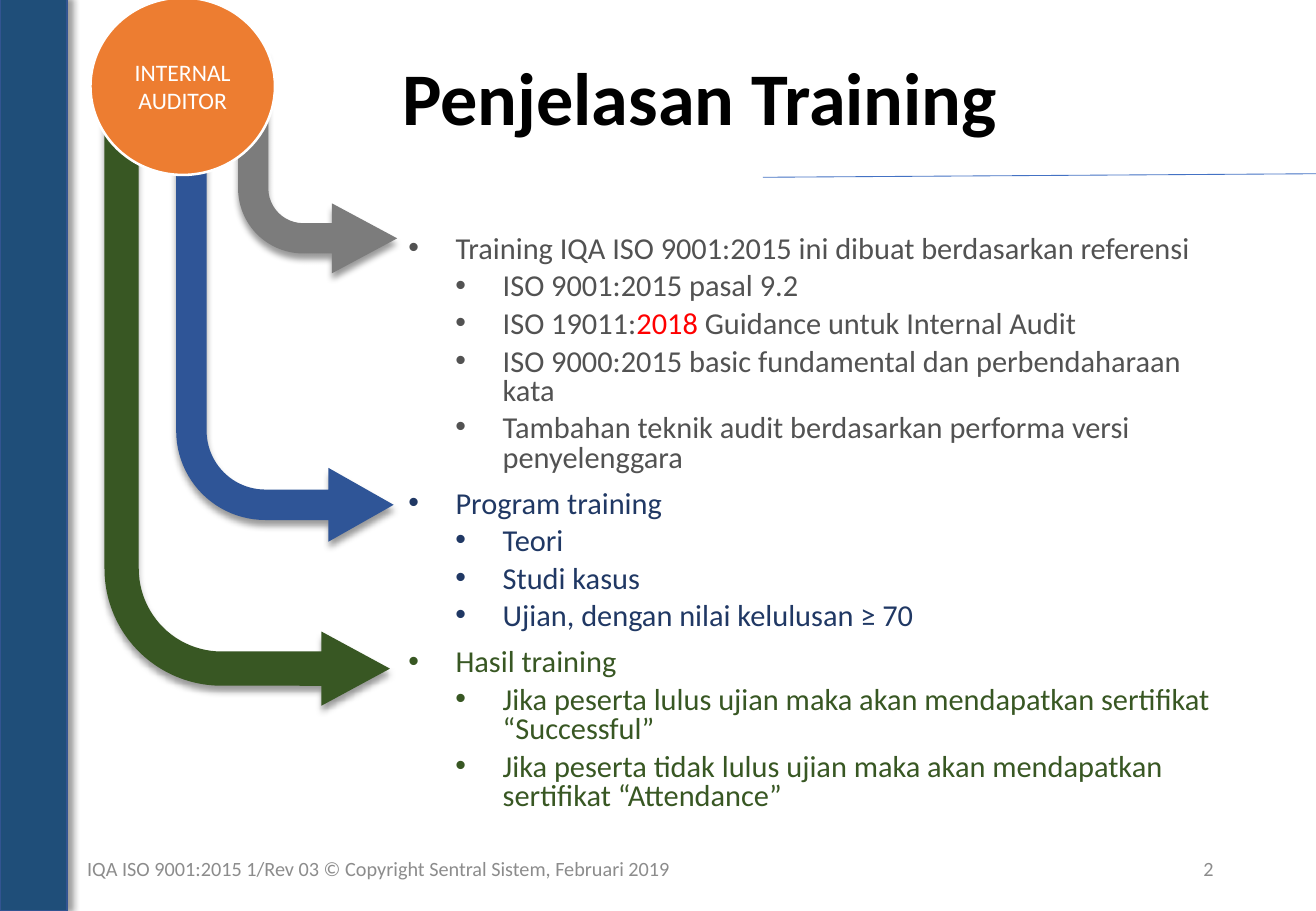
from lxml import etree
from pptx import Presentation
from pptx.dml.color import RGBColor
from pptx.enum import shapes, text
from pptx.oxml import ns
from pptx.util import Pt

BLACK = RGBColor(0x00, 0x00, 0x00)
WHITE = RGBColor(0xFF, 0xFF, 0xFF)
RED = RGBColor(0xFF, 0x00, 0x00)
GRAY_TEXT = RGBColor(0x52, 0x52, 0x52)
NAVY_TEXT = RGBColor(0x20, 0x38, 0x64)
GREEN = RGBColor(0x38, 0x57, 0x23)
GRAY_ARROW = RGBColor(0x7C, 0x7C, 0x7C)
BLUE_ARROW = RGBColor(0x2F, 0x55, 0x97)
ORANGE = RGBColor(0xED, 0x7D, 0x31)
BAR_FILL = RGBColor(0x1F, 0x4E, 0x79)
BAR_LINE = RGBColor(0x32, 0x54, 0x91)
RULE = RGBColor(0x44, 0x72, 0xC4)
FOOTER = RGBColor(0x8C, 0x8C, 0x8C)

TITLE = "Penjelasan Training"
SECTIONS = [
    (GRAY_TEXT, "Training IQA ISO 9001:2015 ini dibuat berdasarkan referensi", [
        "ISO 9001:2015 pasal 9.2",
        [("ISO 19011:", GRAY_TEXT), ("2018 ", RED), ("Guidance untuk Internal Audit", GRAY_TEXT)],
        "ISO 9000:2015 basic fundamental dan perbendaharaan kata",
        "Tambahan teknik audit berdasarkan performa versi penyelenggara",
    ]),
    (NAVY_TEXT, "Program training", [
        "Teori",
        "Studi kasus",
        "Ujian, dengan nilai kelulusan ≥ 70",
    ]),
    (GREEN, "Hasil training", [
        "Jika peserta lulus ujian maka akan mendapatkan sertifikat “Successful”",
        "Jika peserta tidak lulus ujian maka akan mendapatkan sertifikat “Attendance”",
    ]),
]
ARROWS = [
    (GRAY_ARROW, (141.1, 31.7, 94.3, 130.3), (0.19, 0.22, 0.41, 0.41)),
    (BLUE_ARROW, (104.4, 0, 128.9, 321.1), (0.14, 0.17, 0.3, 0.41)),
    (GREEN, (61.9, 31.7, 169.2, 386.6), (0.12, 0.13, 0.24, 0.41)),
]
FOOTERS = [
    ("2", (550.8, 500.4, 175.7, 28.8), text.PP_ALIGN.RIGHT),
    ("IQA ISO 9001:2015 1/Rev 03 © Copyright Sentral Sistem, Februari 2019",
     (44.6, 500.4, 476.6, 28.8), text.PP_ALIGN.LEFT),
]
LEVEL_FORMATS = [
    {"indent": 85, "before": 10},
    {"indent": 113, "before": 5},
]
HANGING = 28


def apply(target, values):
    for name, value in values.items():
        setattr(target, name, value)


def place(shape, box):
    apply(shape, dict(zip(("left", "top", "width", "height"), map(Pt, box))))


def add_run(paragraph, words, size, color, bold=False):
    run = paragraph.add_run()
    run.text = words
    apply(run.font, {"name": "Calibri", "size": Pt(size), "bold": bold})
    run.font.color.rgb = color


def frame_format(shape, anchor):
    apply(shape.text_frame, {"word_wrap": True, "vertical_anchor": anchor,
                             "auto_size": text.MSO_AUTO_SIZE.NONE})


def add_filled(slide, kind, box, fill, line=None, line_width=0):
    shape = slide.shapes.add_shape(kind, *map(Pt, box))
    shape.fill.solid()
    shape.fill.fore_color.rgb = fill
    if line is None:
        shape.line.fill.background()
    else:
        shape.line.color.rgb = line
        shape.line.width = Pt(line_width)
    shape.shadow.inherit = False
    return shape


def add_shadow(shape, degrees):
    effects = shape._element.spPr.find(ns.qn("a:effectLst"))
    shadow = etree.SubElement(effects, ns.qn("a:outerShdw"), blurRad=str(Pt(4)),
                              dist=str(Pt(3)), dir=str(degrees * 60000), rotWithShape="0")
    color = etree.SubElement(shadow, ns.qn("a:srgbClr"), val=str(BLACK))
    etree.SubElement(color, ns.qn("a:alpha"), val="40000")


def add_item(paragraph, content, level, color, first):
    properties = paragraph._p.get_or_add_pPr()
    etree.SubElement(properties, ns.qn("a:buFont"), typeface="Arial")
    etree.SubElement(properties, ns.qn("a:buChar"), char="•")
    layout = LEVEL_FORMATS[level]
    properties.set("marL", str(Pt(layout["indent"])))
    properties.set("indent", str(Pt(-HANGING)))
    apply(paragraph, {"level": level, "line_spacing": 0.8,
                      "space_before": Pt(0 if first else layout["before"]),
                      "alignment": text.PP_ALIGN.LEFT})
    runs = [(content, color)] if isinstance(content, str) else content
    for words, run_color in runs:
        add_run(paragraph, words, 18, run_color)


def fill_title(title):
    place(title, (231.1, 15.1, 469.4, 90))
    frame_format(title, text.MSO_ANCHOR.MIDDLE)
    paragraph = title.text_frame.paragraphs[0]
    apply(paragraph, {"alignment": text.PP_ALIGN.LEFT, "line_spacing": 0.9})
    add_run(paragraph, TITLE, 44, BLACK, True)


def fill_body(body):
    place(body, (177.8, 136.3, 548.6, 360.5))
    frame_format(body, text.MSO_ANCHOR.TOP)
    items = [(content, level, color)
             for color, heading, details in SECTIONS
             for content, level in [(heading, 0)] + [(detail, 1) for detail in details]]
    for number, item in enumerate(items):
        frame = body.text_frame
        paragraph = frame.add_paragraph() if number else frame.paragraphs[0]
        add_item(paragraph, *item, first=number == 0)


def main():
    presentation = Presentation()
    apply(presentation, {"slide_width": Pt(780), "slide_height": Pt(540)})
    slide = presentation.slides.add_slide(presentation.slide_layouts[1])
    fill_title(slide.shapes.title)
    fill_body(slide.placeholders[1])

    for color, box, adjustments in ARROWS:
        arrow = add_filled(slide, shapes.MSO_SHAPE.BENT_ARROW, box, color)
        for number, value in enumerate(adjustments):
            arrow.adjustments[number] = value
        arrow.rotation = 180
        arrow._element.spPr.xfrm.set("flipH", "1")
        add_shadow(arrow, 90)

    badge = add_filled(slide, shapes.MSO_SHAPE.OVAL, (53.6, -1.4, 109.4, 105.1),
                       ORANGE, WHITE, 1.5)
    frame_format(badge, text.MSO_ANCHOR.MIDDLE)
    label = badge.text_frame.paragraphs[0]
    label.alignment = text.PP_ALIGN.CENTER
    add_run(label, "INTERNAL AUDITOR", 14, WHITE)

    bar = add_filled(slide, shapes.MSO_SHAPE.RECTANGLE, (0, -1.4, 39.6, 541.4),
                     BAR_FILL, BAR_LINE, 1)
    add_shadow(bar, 0)

    rule = slide.shapes.add_connector(shapes.MSO_CONNECTOR.STRAIGHT,
                                      *map(Pt, (452.2, 105.1, 780, 103)))
    rule.line.color.rgb = RULE
    rule.line.width = Pt(0.5)
    etree.SubElement(rule._element.spPr, ns.qn("a:effectLst"))

    for words, box, alignment in FOOTERS:
        footer = slide.shapes.add_textbox(*map(Pt, box))
        frame_format(footer, text.MSO_ANCHOR.MIDDLE)
        paragraph = footer.text_frame.paragraphs[0]
        paragraph.alignment = alignment
        add_run(paragraph, words, 12, FOOTER)

    presentation.save("out.pptx")


if __name__ == "__main__":
    main()
